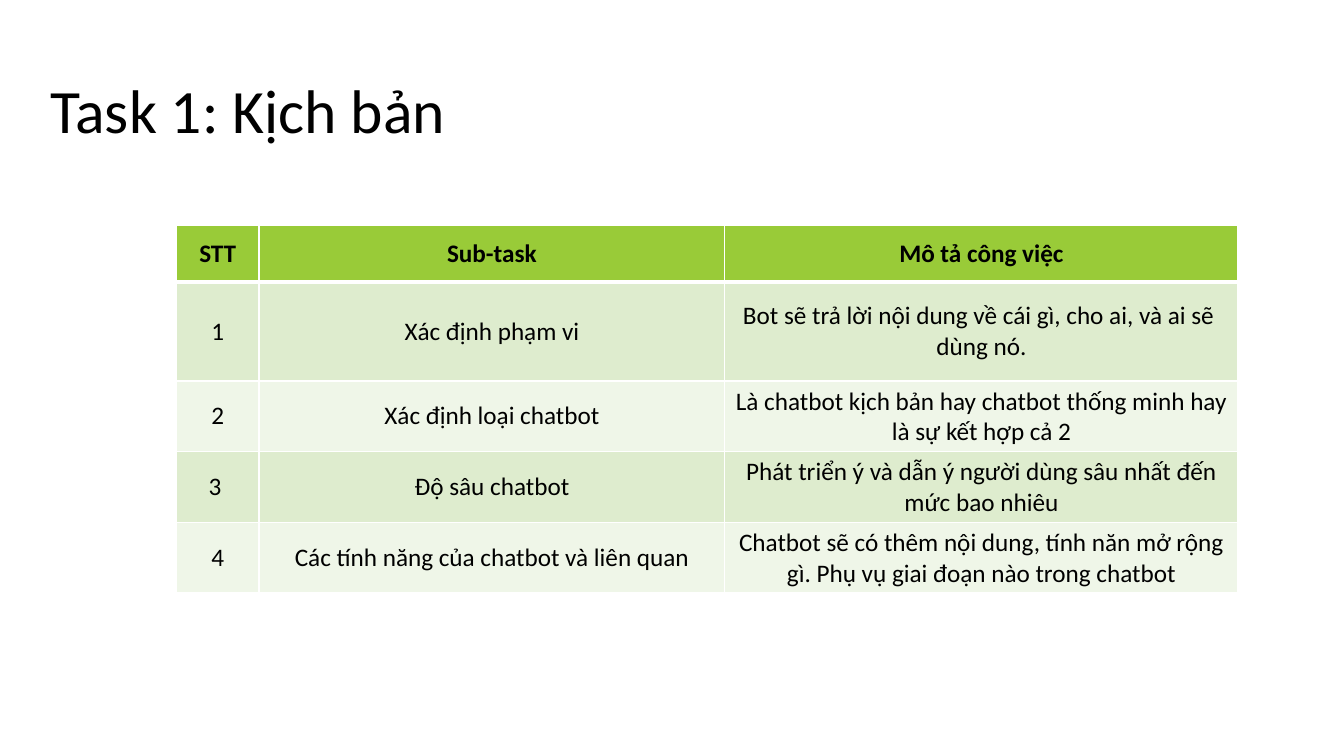
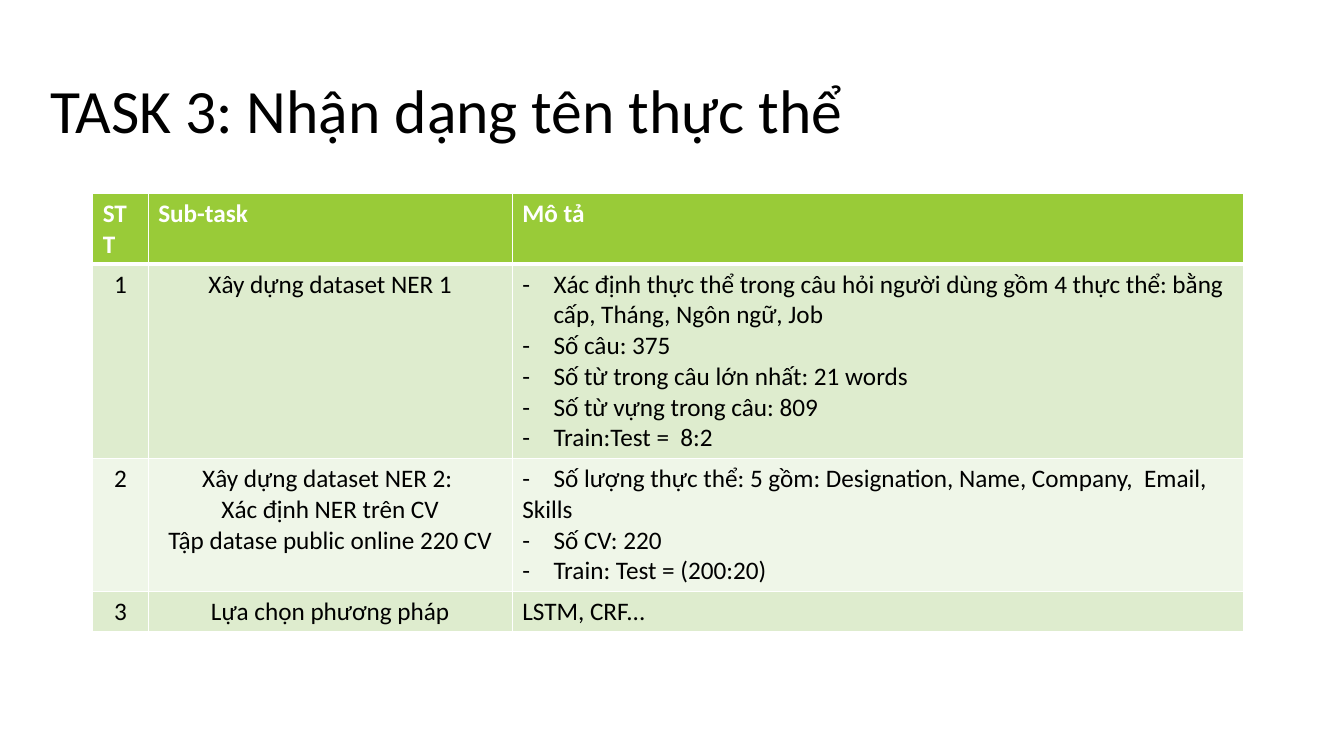
"""Build two task slides, each with a title and a banded table."""
from lxml import etree
from pptx import Presentation
from pptx import util as u
from pptx.dml.color import RGBColor
from pptx.enum import text
from pptx.oxml.ns import qn

FONT = "Calibri"
BLACK, WHITE = "000000", "FFFFFF"
HEADER_FILL = "99CB38"
BAND_FILLS = ["DEECCE", "EFF6E8"]
INDENT = u.Inches(0.31)
CENTER, LEFT = text.PP_ALIGN.CENTER, text.PP_ALIGN.LEFT
MIDDLE, TOP = text.MSO_ANCHOR.MIDDLE, text.MSO_ANCHOR.TOP

SLIDES = [
    {
        "title": "Task 1: Kịch bản",
        "corner": (1.75, 2.24),
        "columns": [0.82, 4.62, 5.09],
        "heights": [0.56, 0.98, 0.7, 0.7, 0.7],
        "anchor": MIDDLE,
        "header_color": BLACK,
        "header_align": CENTER,
        "aligns": [CENTER, CENTER, CENTER],
        "rows": [
            ["STT", "Sub-task", "Mô tả công việc"],
            ["1", "Xác định phạm vi",
             "Bot sẽ trả lời nội dung về cái gì, cho ai, và ai sẽ \ndùng nó."],
            ["2", "Xác định loại chatbot",
             "Là chatbot kịch bản hay chatbot thống minh hay là sự kết hợp cả 2"],
            ["3 ", "Độ sâu chatbot",
             "Phát triển ý và dẫn ý người dùng sâu nhất đến mức bao nhiêu"],
            ["4", "Các tính năng của chatbot và liên quan",
             "Chatbot sẽ có thêm nội dung, tính năn mở rộng gì. "
             "Phụ vụ giai đoạn nào trong chatbot"],
        ],
    },
    {
        "title": "TASK 3: Nhận dạng tên thực thể",
        "corner": (0.92, 1.92),
        "columns": [0.55, 3.61, 7.25],
        "heights": [0.7, 1.93, 1.32, 0.4],
        "anchor": TOP,
        "header_color": WHITE,
        "header_align": LEFT,
        "aligns": [CENTER, CENTER, LEFT],
        "rows": [
            ["STT", "Sub-task", "Mô tả"],
            ["1", "Xây dựng dataset NER 1",
             "- Xác định thực thể trong câu hỏi người dùng gồm 4 thực thể: "
             "bằng cấp, Tháng, Ngôn ngữ, Job\n"
             "- Số câu: 375\n"
             "- Số từ trong câu lớn nhất: 21 words\n"
             "- Số từ vựng trong câu: 809\n"
             "- Train:Test =  8:2"],
            ["2",
             "Xây dựng dataset NER 2: \nXác định NER trên CV\n"
             "Tập datase public online 220 CV",
             "- Số lượng thực thể: 5 gồm: Designation, Name, Company,  Email,\n"
             "Skills\n"
             "- Số CV: 220\n"
             "- Train: Test = (200:20)"],
            ["3", "Lựa chọn phương pháp", "LSTM, CRF..."],
        ],
    },
]


def style_text(para, size, color, bold=False):
    for span in para.runs:
        span.font.name = FONT
        span.font.size = u.Pt(size)
        span.font.bold = bold
        span.font.color.rgb = RGBColor.from_string(color)


def add_borders(cell, top, bottom):
    properties = cell._tc.get_or_add_tcPr()
    for side, width in (("lnL", 1), ("lnR", 1), ("lnT", top), ("lnB", bottom)):
        line = etree.SubElement(properties, qn(f"a:{side}"), w=str(u.Pt(width)))
        fill = etree.SubElement(line, qn("a:solidFill"))
        etree.SubElement(fill, qn("a:srgbClr"), val=WHITE)


deck = Presentation()
deck.slide_width, deck.slide_height = u.Inches(13.33), u.Inches(7.5)

for content in SLIDES:
    page = deck.slides.add_slide(deck.slide_layouts[6])
    box = page.shapes.add_textbox(
        u.Inches(0.4), u.Inches(0.4), u.Inches(12.53), u.Inches(1.45))
    frame = box.text_frame
    frame.word_wrap = True
    frame.vertical_anchor = MIDDLE
    frame.text = content["title"]
    frame.paragraphs[0].line_spacing = 0.9
    style_text(frame.paragraphs[0], 44, BLACK)

    left, top = content["corner"]
    columns, heights, rows = content["columns"], content["heights"], content["rows"]
    table = page.shapes.add_table(
        len(rows), len(columns), u.Inches(left), u.Inches(top),
        u.Inches(sum(columns)), u.Inches(sum(heights))).table
    for column, width in zip(table.columns, columns):
        column.width = u.Inches(width)

    for r, (row, height) in enumerate(zip(rows, heights)):
        table.rows[r].height = u.Inches(height)
        header = r == 0
        for c, words in enumerate(row):
            cell = table.cell(r, c)
            add_borders(cell, 3 if r == 1 else 1, 3 if header else 1)
            cell.fill.solid()
            cell.fill.fore_color.rgb = RGBColor.from_string(
                HEADER_FILL if header else BAND_FILLS[(r - 1) % 2])
            cell.vertical_anchor = content["anchor"]
            cell.text_frame.text = words
            for para in cell.text_frame.paragraphs:
                para.alignment = content["header_align"] if header else content["aligns"][c]
                if para.text.startswith("- "):
                    para.text = para.text[2:]
                    properties = para._p.get_or_add_pPr()
                    properties.set("marL", str(INDENT))
                    properties.set("indent", str(-INDENT))
                    etree.SubElement(properties, qn("a:buFont"), typeface=FONT)
                    etree.SubElement(properties, qn("a:buChar"), char="-")
                style_text(para, 18, content["header_color"] if header else BLACK, header)

deck.save("out.pptx")
